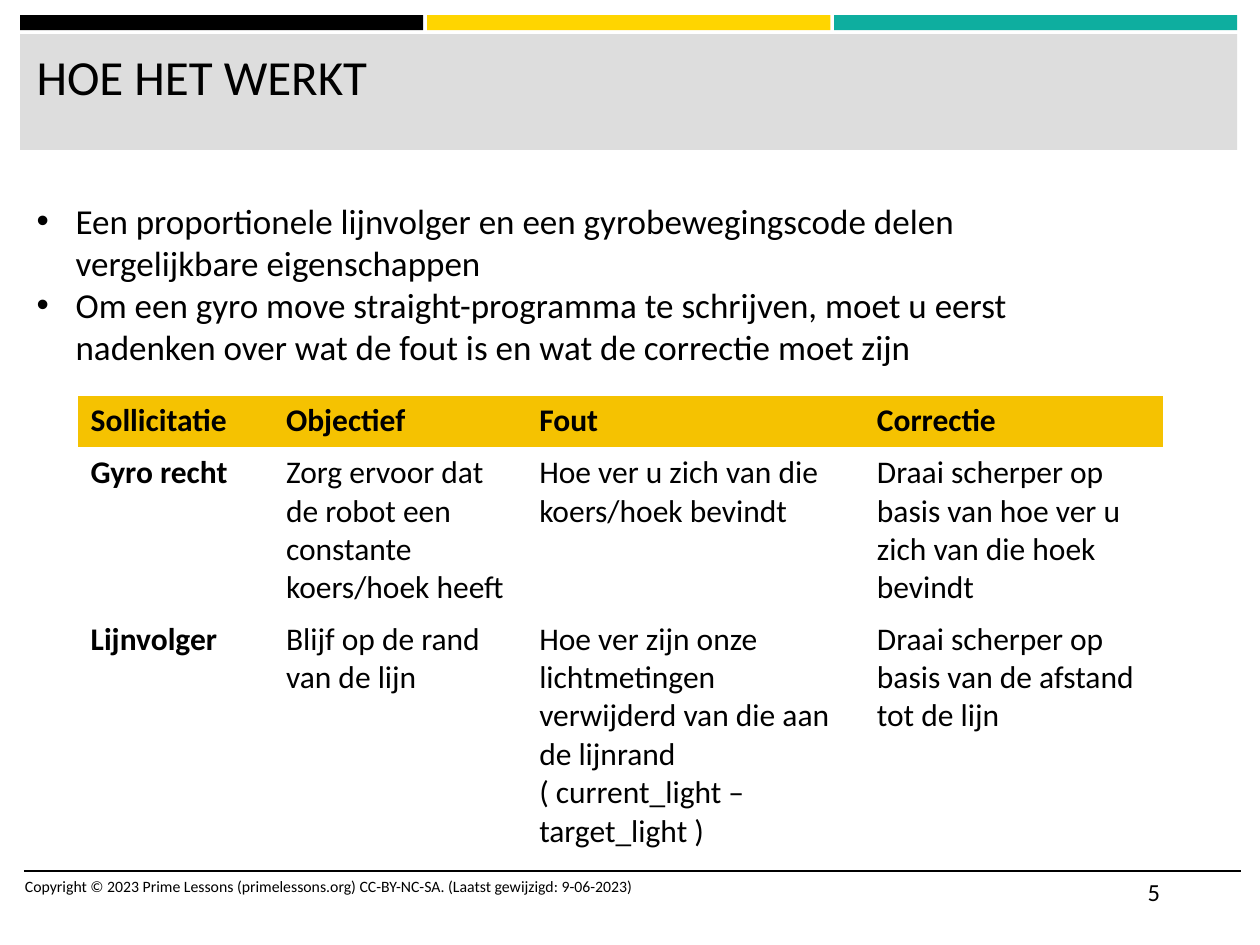
from lxml.etree import SubElement
from pptx import Presentation
from pptx.dml.color import RGBColor
from pptx.enum.shapes import MSO_CONNECTOR, MSO_SHAPE
from pptx.enum.text import MSO_ANCHOR, MSO_AUTO_SIZE, PP_ALIGN
from pptx.oxml.ns import qn
from pptx.util import Inches, Pt

BLACK = RGBColor(0x00, 0x00, 0x00)
YELLOW = RGBColor(0xFF, 0xD5, 0x00)
TEAL = RGBColor(0x0E, 0xAE, 0x9F)
GREY = RGBColor(0xDD, 0xDD, 0xDD)
GOLD = RGBColor(0xF5, 0xC2, 0x01)

MARGIN = 0.16
BAR_WIDTH, BAR_PITCH, BAR_HEIGHT = 3.2, 3.23, 0.12
BAND_WIDTH = 9.66
CONTENT_LEFT = 0.19
FOOTER_TOP, FOOTER_HEIGHT = 6.91, 0.4
BULLET_INDENT = 0.31
NO_GRID_STYLE = "{2D5ABB26-0587-4C30-8999-92F81FD0307C}"

BULLETS = [
    "Een proportionele lijnvolger en een gyrobewegingscode delen vergelijkbare eigenschappen",
    "Om een gyro move straight-programma te schrijven, moet u eerst nadenken over wat de fout is "
    "en wat de correctie moet zijn",
]
COLUMN_WIDTHS = [1.55, 2.01, 2.68, 2.37]
ROW_HEIGHT = 0.41
COMPARISON = [
    ["Sollicitatie", "Objectief", "Fout", "Correctie"],
    ["Gyro recht",
     "Zorg ervoor dat de robot een constante koers/hoek heeft",
     "Hoe ver u zich van die koers/hoek bevindt",
     "Draai scherper op basis van hoe ver u zich van die hoek bevindt"],
    ["Lijnvolger",
     "Blijf op de rand van de lijn",
     "Hoe ver zijn onze lichtmetingen verwijderd van die aan de lijnrand \v"
     "( current_light – target_light )",
     "Draai scherper op basis van de afstand tot de lijn"],
]


def inches(*lengths):
    return [Inches(length) for length in lengths]


def format_text(paragraph, size, bold=False):
    paragraph.alignment = PP_ALIGN.LEFT
    for name, value in {"name": "Calibri", "size": Pt(size), "bold": bold}.items():
        setattr(paragraph.font, name, value)
    paragraph.font.color.rgb = BLACK


def add_block(slide, left, top, width, height, color):
    block = slide.shapes.add_shape(MSO_SHAPE.RECTANGLE, *inches(left, top, width, height))
    block.shadow.inherit = False
    block.fill.solid()
    block.fill.fore_color.rgb = color
    block.line.fill.background()


def add_rule(slide, left, right, top):
    rule = slide.shapes.add_connector(MSO_CONNECTOR.STRAIGHT, *inches(left, top, right, top))
    rule.line.color.rgb = BLACK
    rule.line.width = Pt(1)
    SubElement(rule._element.spPr, qn("a:effectLst"))


def add_note(slide, text, left, width, size):
    note = slide.shapes.add_textbox(*inches(left, FOOTER_TOP, width, FOOTER_HEIGHT))
    note.text_frame.word_wrap = True
    note.text_frame.text = text
    format_text(note.text_frame.paragraphs[0], size)


def place(holder, left, top, width, height, fit):
    """Position a placeholder in front of what has been drawn so far."""
    for side, length in zip(("left", "top", "width", "height"), inches(left, top, width, height)):
        setattr(holder, side, length)
    holder.element.getparent().append(holder.element)
    settings = {"word_wrap": True, "auto_size": fit, "vertical_anchor": MSO_ANCHOR.TOP}
    for name, value in settings.items():
        setattr(holder.text_frame, name, value)
    return holder.text_frame


def fill_title(slide, text):
    frame = place(slide.shapes.title, CONTENT_LEFT, 0.32, 9.57, 0.82, MSO_AUTO_SIZE.NONE)
    frame.text = text
    format_text(frame.paragraphs[0], 28)


def fill_bullets(slide, items):
    frame = place(slide.placeholders[1], CONTENT_LEFT, 1.53, 8.69, 1.45,
                  MSO_AUTO_SIZE.SHAPE_TO_FIT_TEXT)
    frame.text = "\n".join(items)
    for paragraph in frame.paragraphs:
        paragraph.space_before = Pt(0)
        properties = paragraph._p.get_or_add_pPr()
        properties.set("marL", str(Inches(BULLET_INDENT)))
        properties.set("indent", str(-Inches(BULLET_INDENT)))
        SubElement(properties, qn("a:buFont"), typeface="Arial")
        SubElement(properties, qn("a:buChar"), char="•")
        format_text(paragraph, 20)


def add_comparison(slide, rows):
    frame = slide.shapes.add_table(
        len(rows), len(COLUMN_WIDTHS),
        *inches(0.62, 3.14, sum(COLUMN_WIDTHS), ROW_HEIGHT * len(rows)))
    table = frame.table
    table.horz_banding = False
    table._tbl.tblPr.find(qn("a:tableStyleId")).text = NO_GRID_STYLE
    for column, width in zip(table.columns, COLUMN_WIDTHS):
        column.width = Inches(width)
    for r, texts in enumerate(rows):
        table.rows[r].height = Inches(ROW_HEIGHT)
        for c, text in enumerate(texts):
            cell = table.cell(r, c)
            cell.text_frame.text = text
            format_text(cell.text_frame.paragraphs[0], 18, bold=r == 0 or c == 0)
            if r == 0:
                cell.fill.solid()
                cell.fill.fore_color.rgb = GOLD
            else:
                cell.fill.background()


def main():
    deck = Presentation()
    deck.slide_width, deck.slide_height = inches(10, 7.5)
    slide = deck.slides.add_slide(deck.slide_layouts[1])

    # Header bars and title band
    for position, color in enumerate((BLACK, YELLOW, TEAL)):
        add_block(slide, MARGIN + position * BAR_PITCH, 0.12, BAR_WIDTH, BAR_HEIGHT, color)
    add_block(slide, MARGIN, 0.27, BAND_WIDTH, 0.92, GREY)

    # Content
    fill_title(slide, "HOE HET WERKT")
    add_comparison(slide, COMPARISON)
    fill_bullets(slide, BULLETS)

    # Footer
    add_rule(slide, CONTENT_LEFT, CONTENT_LEFT + BAND_WIDTH, FOOTER_TOP)
    add_note(slide, "Copyright © 2023 Prime Lessons (primelessons.org) CC-BY-NC-SA. "
                    "(Laatst gewijzigd: 9-06-2023)", 0.1, 5.33, 9)
    add_note(slide, "5", 9.01, 0.84, 14)

    deck.save("out.pptx")


if __name__ == "__main__":
    main()
